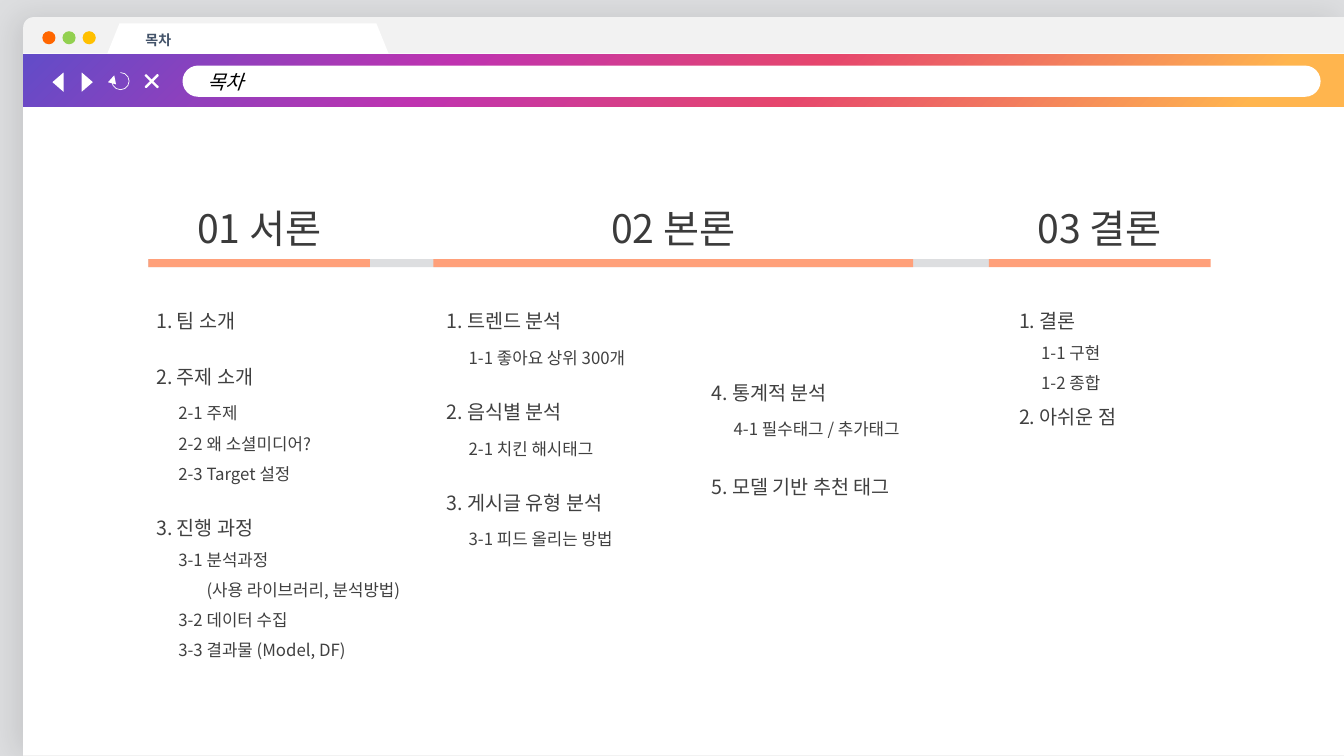
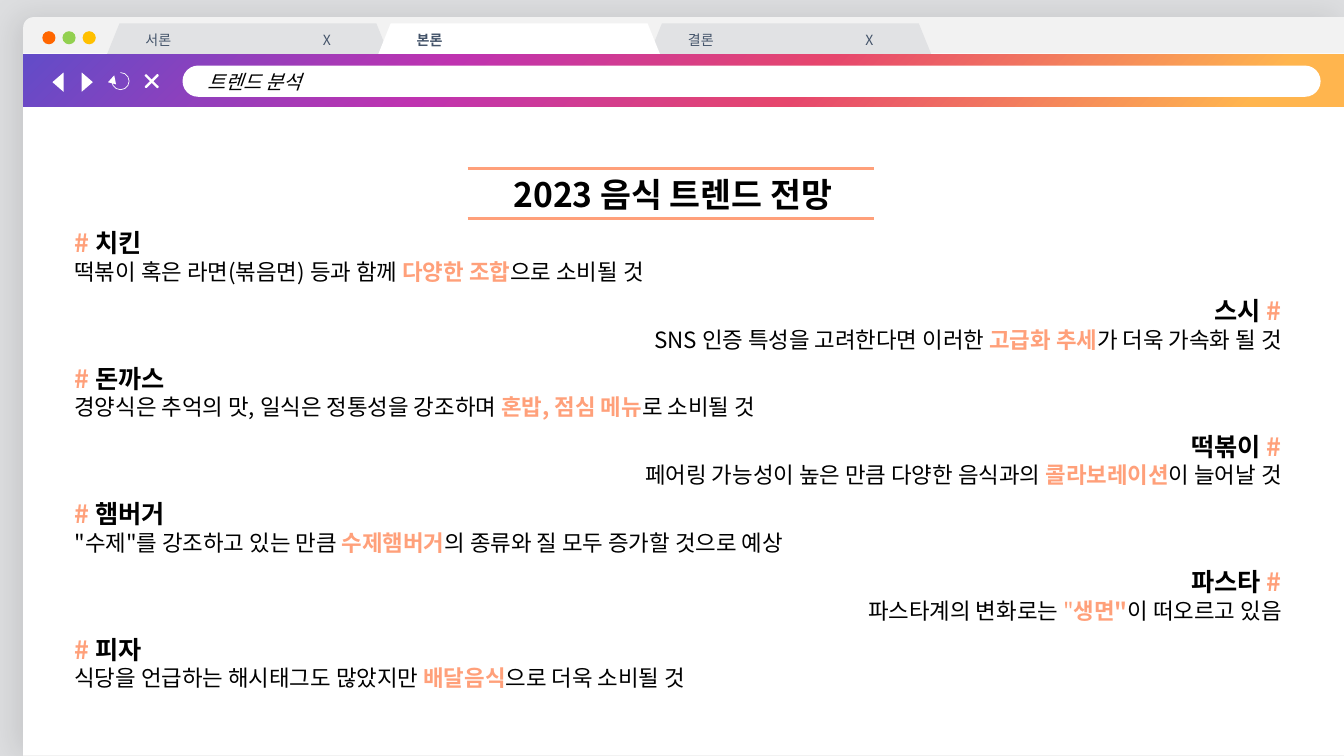
from dataclasses import dataclass

from lxml import etree
from pptx import Presentation, util as u
from pptx.dml.color import RGBColor
from pptx.enum import shapes, text
from pptx.oxml import parse_xml
from pptx.oxml.ns import qn

NS = 'xmlns:a="http://schemas.openxmlformats.org/drawingml/2006/main"'
KIND = shapes.MSO_SHAPE
ALIGN = text.PP_ALIGN


@dataclass(frozen=True)
class Theme:
    font: str = "Noto Sans CJK KR"
    backdrop: str = "DDDEE0"
    frame: str = "F2F2F2"
    white: str = "FFFFFF"
    idle_tab: str = "E1E2E4"
    tab_text: str = "44546A"
    black: str = "000000"
    heading_text: str = "3B3B3B"
    list_text: str = "404040"
    accent: str = "FFA07A"
    close_fill: str = "808080"
    dots: tuple = ("FF6600", "92D050", "FFC000")
    band: tuple = ((0, "624CC8"), (32, "BF33B0"), (59, "E6466D"), (93, "FFB54E"))
    tab_size: float = 10
    sub_size: float = 12
    item_size: float = 14
    body_size: float = 16
    tag_size: float = 18
    title_size: float = 24
    heading_size: float = 28


T = Theme()

# Grid: every place is given in hundredths of the slide's width and height
WIDTH, HEIGHT = u.Inches(13.33), u.Inches(7.5)
LEFT, FULL = 1.73, 98.27
TAB_LEFT, TAB_STEP = 7.95, 20.18
SECTIONS = ((11.03, 16.5, "01 서론"), (32.25, 35.7, "02 본론"), (73.58, 16.5, "03 결론"))

# Contents lists: (level, text, points before)
GAP, STEP = 14.4, 3.6
LISTS = (
    ((10.88, 38.67, 21.4, 49.3), (
        (0, "1. 팀 소개", 0),
        (0, "2. 주제 소개", GAP),
        (1, "2-1 주제", STEP),
        (1, "2-2 왜 소셜미디어?", 0),
        (1, "2-3 Target 설정", 0),
        (0, "3. 진행 과정", GAP),
        (1, "3-1 분석과정", 0),
        (2, "(사용 라이브러리, 분석방법)", 0),
        (1, "3-2 데이터 수집", 0),
        (1, "3-3 결과물 (Model, DF)", 0))),
    ((32.48, 38.67, 20.2, 35), (
        (0, "1. 트렌드 분석", 0),
        (1, "1-1 좋아요 상위 300개", STEP),
        (0, "2. 음식별 분석", GAP),
        (1, "2-1 치킨 해시태그", STEP),
        (0, "3. 게시글 유형 분석", GAP),
        (1, "3-1 피드 올리는 방법", STEP))),
    ((52.2, 48.13, 17.1, 18.1), (
        (0, "4. 통계적 분석", 0),
        (1, "4-1 필수태그 / 추가태그", STEP),
        (0, "5. 모델 기반 추천 태그", 16.8))),
    ((75.08, 38.67, 15, 18.3), (
        (0, "1. 결론", 0),
        (1, "1-1 구현", 0),
        (1, "1-2 종합", 0),
        (0, "2. 아쉬운 점", 0))),
)
INDENTS = (0, 0.22, 0.5)

# Trends: (food, text before, light accent, bold accent, text after)
TRENDS = (
    ("치킨", "떡볶이 혹은 라면(볶음면) 등과 함께 ", "", "다양한 조합", "으로 소비될 것"),
    ("스시", "SNS 인증 특성을 고려한다면 이러한 ", "", "고급화 추세", "가 더욱 가속화 될 것"),
    ("돈까스", "경양식은 추억의 맛, 일식은 정통성을 강조하며 ", "", "혼밥, 점심 메뉴", "로 소비될 것"),
    ("떡볶이", "페어링 가능성이 높은 만큼 다양한 음식과의 ", "", "콜라보레이션", "이 늘어날 것"),
    ("햄버거", '"수제"를 강조하고 있는 만큼 ', "", "수제햄버거", "의 종류와 질 모두 증가할 것으로 예상"),
    ("파스타", "파스타계의 변화로는 ", '"', '생면"', "이 떠오르고 있음"),
    ("피자", "식당을 언급하는 해시태그도 많았지만 ", "", "배달음식", "으로 더욱 소비될 것"),
)


def across(share):
    return u.Emu(round(WIDTH * share / 100))


def down(share):
    return u.Emu(round(HEIGHT * share / 100))


def place(area):
    left, top, width, height = area
    return across(left), down(top), across(width), down(height)


# Text
def add_span(para, words, size, color, bold=False, italic=False):
    span = para.add_run()
    span.text = words
    font = span.font
    font.size, font.bold, font.italic = u.Pt(size), bold, italic
    font.color.rgb = RGBColor.from_string(color)
    font.name = T.font
    east = etree.SubElement(font._element, qn("a:ea"))
    east.set("typeface", T.font)


def add_text_box(page, area):
    box = page.shapes.add_textbox(*place(area))
    box.text_frame.word_wrap = True
    return box.text_frame


def next_para(frame, align=ALIGN.LEFT):
    first = frame.paragraphs[0]
    para = frame.add_paragraph() if first.runs else first
    para.alignment = align
    return para


# Shapes
def add_shape(page, kind, area, fill=None, adjust=(), turn=0, line=None):
    shape = page.shapes.add_shape(kind, *place(area))
    shape.shadow.inherit = False
    shape.rotation = turn
    for index, value in enumerate(adjust):
        shape.adjustments[index] = value
    if fill:
        shape.fill.solid()
        shape.fill.fore_color.rgb = RGBColor.from_string(fill)
    else:
        shape.fill.background()
    if line:
        color, width = line
        shape.line.color.rgb = RGBColor.from_string(color)
        shape.line.width = u.Pt(width)
    else:
        shape.line.fill.background()
    return shape


def label(shape, inset, words, size, color, **style):
    frame = shape.text_frame
    frame.word_wrap = True
    frame.vertical_anchor = text.MSO_ANCHOR.MIDDLE
    frame.margin_left = u.Inches(inset)
    para = next_para(frame)
    add_span(para, words, size, color, **style)
    return para


def add_window(page):
    window = add_shape(page, KIND.ROUND_1_RECTANGLE, (LEFT, 2.27, FULL, 97.73), T.frame, (0.014,))
    props = window._element.spPr
    props.xfrm.set("flipH", "1")
    props.remove(props.find(qn("a:effectLst")))
    props.append(parse_xml(
        f'<a:effectLst {NS}><a:outerShdw blurRad="{u.Pt(22)}" dist="{u.Pt(5)}" dir="10800000" '
        f'algn="r" rotWithShape="0"><a:srgbClr val="{T.black}"><a:alpha val="10000"/>'
        '</a:srgbClr></a:outerShdw></a:effectLst>'))
    add_shape(page, KIND.RECTANGLE, (LEFT, 7.07, FULL, 92.8), T.white)
    for index, color in enumerate(T.dots):
        add_shape(page, KIND.OVAL, (3.15 + 1.5 * index, 4.13, 0.98, 1.73), color)


def add_tab(page, index, name, active):
    area = (TAB_LEFT + TAB_STEP * index, 3.1, 21, 4.13)
    tab = add_shape(page, KIND.TRAPEZOID, area, T.white if active else T.idle_tab, (0.405,))
    words = name if active else name + "\tX"
    para = label(tab, 0.3, words, T.tab_size, T.tab_text, bold=active)
    if not active:
        para._p.get_or_add_pPr().append(parse_xml(
            f'<a:tabLst {NS}><a:tab pos="{u.Inches(1.76)}" algn="l"/></a:tabLst>'))


def add_toolbar(page, address):
    band = add_shape(page, KIND.RECTANGLE, (LEFT, 7.2, FULL, 6.93))
    stops = "".join(f'<a:gs pos="{share * 1000}"><a:srgbClr val="{color}"/></a:gs>'
                    for share, color in T.band)
    props = band._element.spPr
    props.replace(props.find(qn("a:noFill")), parse_xml(
        f'<a:gradFill {NS} rotWithShape="1"><a:gsLst>{stops}</a:gsLst>'
        '<a:lin ang="2700000" scaled="0"/></a:gradFill>'))

    field = add_shape(page, KIND.ROUNDED_RECTANGLE, (13.58, 8.67, 84.68, 4.13), T.white, (0.5,))
    label(field, 0.2, address, T.item_size, T.black, italic=True)

    # Back, forward, close and reload buttons
    for left, turn in ((3.6, 270), (5.78, 90)):
        add_shape(page, KIND.ISOSCELES_TRIANGLE, (left, 10.13, 1.43, 1.47), T.white, turn=turn)
    add_shape(page, KIND.MATH_PLUS, (10.43, 9.2, 1.73, 3.07), T.close_fill, (0.04,), 315,
              (T.white, 1))
    reload = add_shape(page, KIND.ARC, (8.33, 9.6, 1.28, 2.27), adjust=(162, 133.65),
                       line=(T.white, 0.5))
    etree.SubElement(reload.line._get_or_add_ln(), qn("a:tailEnd")).set("type", "triangle")


def add_browser_page(deck, address, tabs, current):
    page = deck.slides.add_slide(deck.slide_layouts[6])
    page.background.fill.solid()
    page.background.fill.fore_color.rgb = RGBColor.from_string(T.backdrop)
    add_window(page)
    # The open tab lies over its neighbours and is drawn last
    for index in sorted(range(len(tabs)), key=lambda i: i == current):
        add_tab(page, index, tabs[index], index == current)
    add_toolbar(page, address)
    return page


# Contents page
def add_section_heads(page):
    start, end = SECTIONS[0][0], SECTIONS[-1][0]
    add_shape(page, KIND.RECTANGLE, (start, 34.27, end - start, 1.07), T.backdrop)
    for left, width, name in SECTIONS:
        para = next_para(add_text_box(page, (left, 26.4, width, 7.6)), ALIGN.CENTER)
        add_span(para, name, T.heading_size, T.heading_text)
        add_shape(page, KIND.RECTANGLE, (left, 34.27, width, 1.07), T.accent)


def add_list(page, area, entries):
    frame = add_text_box(page, area)
    for level, words, before in entries:
        para = next_para(frame)
        para.line_spacing = 1.5
        if before:
            para.space_before = u.Pt(before)
        para._p.get_or_add_pPr().set("marL", str(u.Inches(INDENTS[level])))
        add_span(para, words, T.sub_size if level else T.item_size, T.list_text)


# Trend page
def add_ruled_title(page, words):
    para = next_para(add_text_box(page, (35.25, 22.4, 29.63, 6.67)), ALIGN.CENTER)
    add_span(para, words, T.title_size, T.black, bold=True)
    for row in (22.27, 28.93):
        rule = page.shapes.add_connector(shapes.MSO_CONNECTOR.STRAIGHT, across(34.8), down(row),
                                         across(65.03), down(row))
        rule.line.color.rgb = RGBColor.from_string(T.accent)
        rule.line.width = u.Pt(2.25)
        etree.SubElement(rule._element.spPr, qn("a:effectLst"))


def add_trend(page, index, food, before, light, strong, after):
    on_right = index % 2 == 1
    align = ALIGN.RIGHT if on_right else ALIGN.LEFT
    frame = add_text_box(page, (4.8, 29.47 + 8.96 * index, 91.3, 8.93))

    tag = [("# ", T.accent), (food, T.black)]
    if on_right:
        tag = [(food + " ", T.black), ("#", T.accent)]
    para = next_para(frame, align)
    for words, color in tag:
        add_span(para, words, T.tag_size, color, bold=True)

    para = next_para(frame, align)
    for words, color, bold in ((before, T.black, False), (light, T.accent, False),
                               (strong, T.accent, True), (after, T.black, False)):
        if words:
            add_span(para, words, T.body_size, color, bold=bold)


def main():
    deck = Presentation()
    deck.slide_width, deck.slide_height = WIDTH, HEIGHT

    contents = add_browser_page(deck, "목차", ("목차",), 0)
    add_section_heads(contents)
    for area, entries in LISTS:
        add_list(contents, area, entries)

    trends = add_browser_page(deck, "트렌드 분석", ("서론", "본론", "결론"), 1)
    add_ruled_title(trends, "2023 음식 트렌드 전망")
    for index, trend in enumerate(TRENDS):
        add_trend(trends, index, *trend)

    deck.save("out.pptx")


if __name__ == "__main__":
    main()
